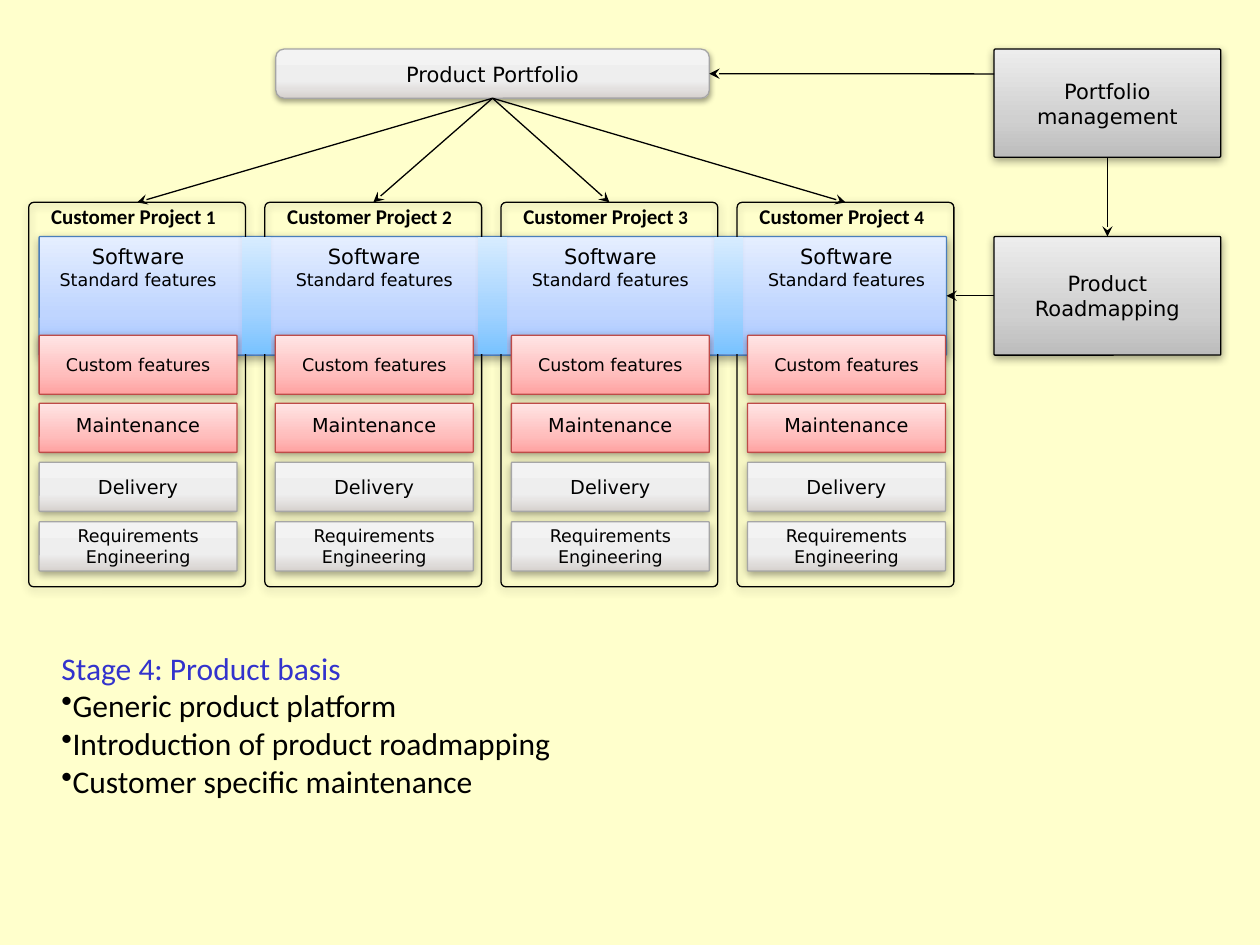
from lxml import etree
from pptx import Presentation
from pptx import util as u
from pptx.dml import color
from pptx.enum import shapes, text
from pptx.oxml import ns

BLUE = ("E5EEFF", "BFD5FF", "A3C4FF")
SKY = ("D7ECFF", "A1D2FF", "78C2FF")
RED = ("FFE5E5", "FFBEBD", "FFA2A1")
LIGHT = ("F3F3F3", "EEEEEE", "D6D1CE")
GREY = ("EDEDED", "D0D0D0", "BCBCBC")
SANS = "DejaVu Sans"
COLUMNS = 4
PITCH = 4.76
TOP, MIDDLE = text.MSO_ANCHOR.TOP, text.MSO_ANCHOR.MIDDLE


def rgb(value):
    return color.RGBColor.from_string(value)


def add_child(parent, tag, **attributes):
    child = etree.SubElement(parent, ns.qn(tag))
    for name, value in attributes.items():
        child.set(name, str(value))
    return child


class Diagram:
    def __init__(self, slide, ink="000000", line_width=0.75):
        self.slide = slide
        self.ink = ink
        self.line_width = u.Pt(line_width)

    def gradient(self, shape, colours):
        shape.fill.gradient()
        shape.fill.gradient_angle = 270
        stops = shape.element.spPr.find(ns.qn("a:gradFill")).find(ns.qn("a:gsLst"))
        for stop in list(stops):
            stops.remove(stop)
        for position, colour in zip((0, 65000, 100000), colours):
            add_child(add_child(stops, "a:gs", pos=position), "a:srgbClr", val=colour)

    def shadow(self, shape, blur):
        effects = shape.element.spPr.find(ns.qn("a:effectLst"))
        outer = add_child(effects, "a:outerShdw", blurRad=u.Pt(blur), dist=u.Pt(1.6),
                          dir=5400000, rotWithShape=0)
        add_child(add_child(outer, "a:srgbClr", val="000000"), "a:alpha", val=37000)

    def box(self, left, top, width, height, colours=None, outline=None, corner=0.017, blur=5):
        shape = self.slide.shapes.add_shape(
            shapes.MSO_SHAPE.ROUNDED_RECTANGLE,
            u.Cm(left), u.Cm(top), u.Cm(width), u.Cm(height))
        shape.adjustments[0] = corner
        shape.shadow.inherit = False
        if colours:
            self.gradient(shape, colours)
        else:
            shape.fill.background()
        if outline:
            shape.line.color.rgb = rgb(outline)
            shape.line.width = self.line_width
            self.shadow(shape, blur)
        else:
            shape.line.fill.background()
        return shape

    def run(self, paragraph, wording, size, font=SANS, colour=None, bold=False):
        run = paragraph.add_run()
        run.text = wording
        run.font.size = u.Pt(size)
        run.font.name = font
        run.font.bold = bold
        run.font.color.rgb = rgb(colour or self.ink)

    def caption(self, shape, lines, anchor=MIDDLE, side=0.25, head=0.13):
        frame = shape.text_frame
        frame.word_wrap = True
        frame.vertical_anchor = anchor
        frame.margin_left = frame.margin_right = u.Cm(side)
        frame.margin_top = u.Cm(head)
        for index, (wording, size) in enumerate(lines):
            paragraph = frame.add_paragraph() if index else frame.paragraphs[0]
            paragraph.alignment = text.PP_ALIGN.CENTER
            self.run(paragraph, wording, size)

    def text_box(self, left, top, width, height):
        box = self.slide.shapes.add_textbox(u.Cm(left), u.Cm(top), u.Cm(width), u.Cm(height))
        box.text_frame.word_wrap = True
        return box.text_frame

    def heading(self, left, top, number):
        paragraph = self.text_box(left, top, 3.86, 0.76).paragraphs[0]
        paragraph.alignment = text.PP_ALIGN.CENTER
        self.run(paragraph, "Customer Project", 12, "Calibri", bold=True)
        self.run(paragraph, f" {number}", 11, "Calibri", bold=True)

    def summary(self, title, points):
        frame = self.text_box(0.99, 12.95, 18.64, 4.09)
        self.run(frame.paragraphs[0], title, 18, "Calibri", "3333CC")
        for point in points:
            paragraph = frame.add_paragraph()
            self.run(paragraph, point, 18, "Calibri")
            properties = paragraph._p.get_or_add_pPr()
            add_child(add_child(properties, "a:buClr"), "a:srgbClr", val=self.ink)
            add_child(properties, "a:buChar", char="•")

    def arrow(self, target, target_side, source=None, source_side=0, start=(0, 0)):
        connector = self.slide.shapes.add_connector(
            shapes.MSO_CONNECTOR.STRAIGHT, u.Cm(start[0]), u.Cm(start[1]), 0, 0)
        if source is not None:
            connector.begin_connect(source, source_side)
        connector.end_connect(target, target_side)
        connector.line.color.rgb = rgb(self.ink)
        connector.line.width = self.line_width
        properties = connector.element.spPr
        add_child(properties.find(ns.qn("a:ln")), "a:tailEnd", type="stealth")
        add_child(properties, "a:effectLst")


def main():
    presentation = Presentation()
    presentation.slide_width = u.Cm(25.4)
    presentation.slide_height = u.Cm(19.05)
    slide = presentation.slides.add_slide(presentation.slide_layouts[6])
    slide.background.fill.solid()
    slide.background.fill.fore_color.rgb = rgb("FFFFCC")
    diagram = Diagram(slide)

    platform = diagram.box(0.79, 4.77, 18.29, 2.39, BLUE, "4A7EBB", 0.007)
    portfolio = diagram.box(5.56, 0.99, 8.74, 0.99, LIGHT, "A5A5A5", 0.167, 3.1)
    diagram.caption(portfolio, [("Product Portfolio", 12)])

    stages = [
        ("Custom features", 10, 6.76, 1.19, RED, "BE4B48", {}),
        ("Maintenance", 11, 8.13, 0.99, RED, "BE4B48", {"anchor": TOP, "head": 0.2}),
        ("Delivery", 11, 9.32, 0.99, LIGHT, "A6A6A6", {}),
        ("Requirements Engineering", 10, 10.52, 0.99, LIGHT, "A6A6A6", {"side": 0}),
    ]
    for column in range(COLUMNS):
        offset = column * PITCH
        left = 0.79 + offset
        project = diagram.box(0.58 + offset, 4.08, 4.37, 7.75, None, diagram.ink, 0.023)
        diagram.heading(0.76 + offset, 3.97, column + 1)
        software = diagram.box(left, 4.77, 3.99, 3.18, corner=0.007)
        diagram.caption(software, [("Software", 12), ("Standard features", 10)], TOP)
        for wording, size, top, height, colours, outline, layout in stages:
            stage = diagram.box(left, top, 3.99, height, colours, outline)
            diagram.caption(stage, [(wording, size)], **layout)
        diagram.arrow(project, 0, portfolio, 2)

    for gap in range(COLUMNS - 1):
        diagram.box(4.88 + gap * PITCH, 4.78, 0.58, 2.36, SKY, corner=0.007)

    management = diagram.box(20.04, 0.99, 4.57, 2.18, GREY, diagram.ink, 0.012)
    diagram.caption(management, [("Portfolio management", 12)])
    roadmapping = diagram.box(20.04, 4.77, 4.57, 2.39, GREY, diagram.ink, 0.009)
    diagram.caption(roadmapping, [("Product Roadmapping", 12)])
    diagram.arrow(portfolio, 3, start=(20.04, 1.49))
    diagram.arrow(roadmapping, 0, management, 2)
    diagram.arrow(platform, 3, roadmapping, 1)

    diagram.summary("Stage 4: Product basis", [
        "Generic product platform",
        "Introduction of product roadmapping",
        "Customer specific maintenance",
    ])
    presentation.save("out.pptx")


if __name__ == "__main__":
    main()
